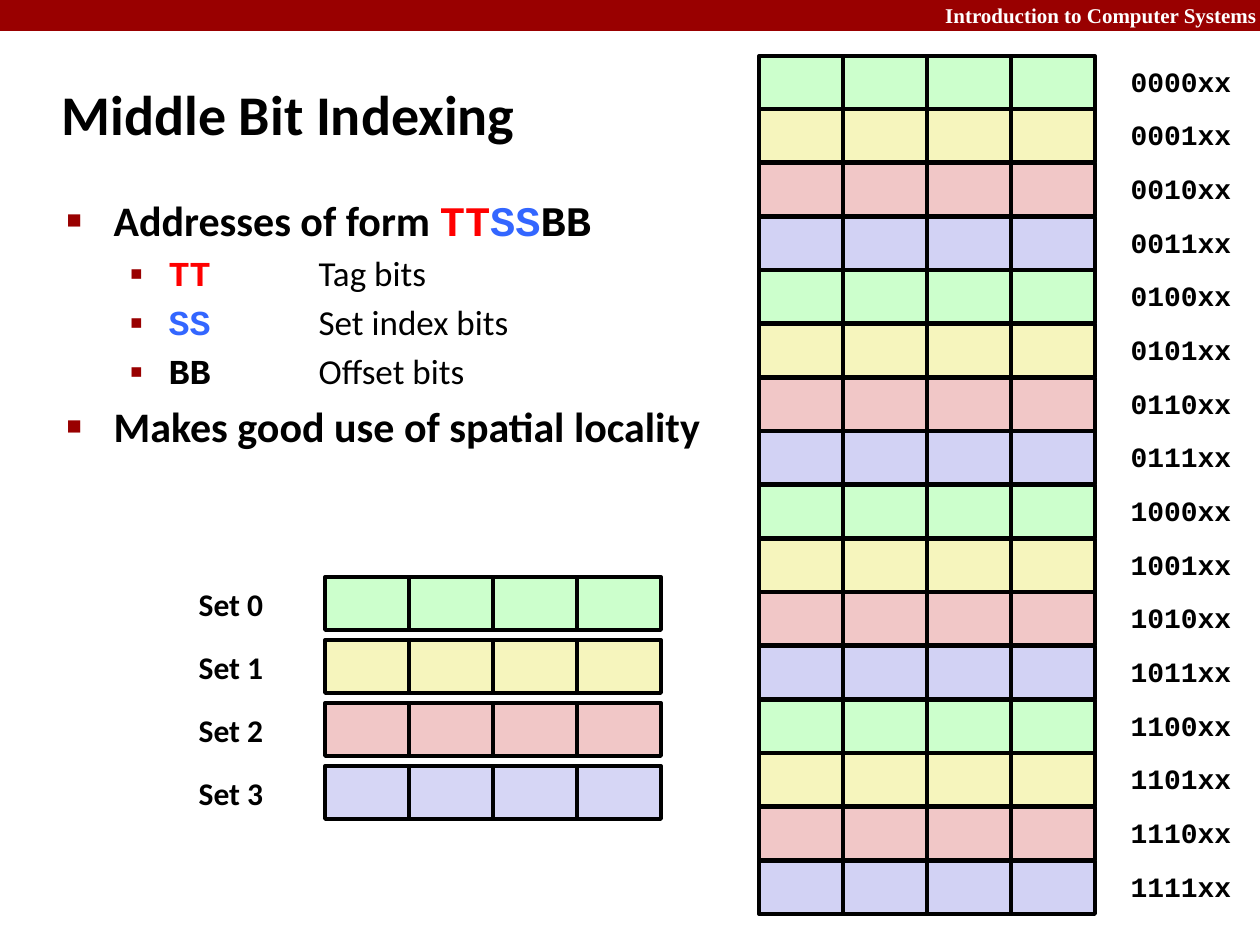
"""Build the slide on middle bit indexing of cache sets."""
from dataclasses import dataclass

from lxml import etree
from pptx import Presentation
from pptx.dml.color import RGBColor
from pptx.enum.shapes import MSO_SHAPE
from pptx.enum.text import MSO_ANCHOR, MSO_AUTO_SIZE, PP_ALIGN
from pptx.oxml.ns import qn
from pptx.util import Emu, Pt

RECTANGLE = MSO_SHAPE.RECTANGLE
MIDDLE, TOP = MSO_ANCHOR.MIDDLE, MSO_ANCHOR.TOP
NO_AUTOFIT = MSO_AUTO_SIZE.NONE
LEFT, CENTER, RIGHT = PP_ALIGN.LEFT, PP_ALIGN.CENTER, PP_ALIGN.RIGHT
EMU_PER_PX = 914400 / 126


@dataclass(frozen=True)
class Theme:
    sans: str = "Calibri"
    mono: str = "Courier New"
    serif: str = "Times New Roman"
    black: str = "000000"
    white: str = "FFFFFF"
    accent: str = "990000"
    tag: str = "FF0000"
    index: str = "3366FF"
    set_fills: tuple[str, ...] = ("CCFFCC", "F6F5BD", "F1C7C7", "D6D6F5")
    memory_fills: tuple[str, ...] = ("CCFFCC", "F6F5BD", "F1C7C7", "D2D2F4")
    title_size: int = 32
    point_size: int = 24
    detail_size: int = 20
    set_size: int = 18
    address_size: int = 16
    header_size: int = 12
    outline: float = 2.25


THEME = Theme()


@dataclass(frozen=True)
class Box:
    left: int
    top: int
    width: int
    height: int


@dataclass(frozen=True)
class Span:
    text: str
    font: str = THEME.sans
    color: str = THEME.black
    bold: bool = True


@dataclass(frozen=True)
class Point:
    spans: tuple[Span, ...]
    level: int = 0


@dataclass(frozen=True)
class BulletStyle:
    symbol: str
    percent: int
    margin: int
    hanging: int
    size: int


@dataclass(frozen=True)
class BlockRow:
    label: str
    label_box: Box
    left: int
    top: int
    fill: str
    font: str
    size: int


BLOCK_WIDTH, BLOCK_HEIGHT, BLOCKS_PER_ROW = 84, 53, 4
DETAIL_TAB = 252
BULLETS = (
    BulletStyle("■", 60, 47, 47, THEME.point_size),
    BulletStyle("▪", 110, 102, 39, THEME.detail_size),
)
TAG = Span("TT", THEME.mono, THEME.tag)
INDEX = Span("SS", THEME.mono, THEME.index)
OFFSET = Span("BB", THEME.mono)
POINTS = (
    Point((Span("Addresses of form "), TAG, INDEX, OFFSET)),
    Point((TAG, Span("\tTag bits", bold=False)), 1),
    Point((INDEX, Span("\tSet index bits", bold=False)), 1),
    Point((OFFSET, Span("\tOffset bits", bold=False)), 1),
    Point((Span("Makes good use of spatial locality"),)),
)


def px(length: int) -> Emu:
    """Convert whole pixels to EMU."""
    return Emu(round(length * EMU_PER_PX))


def place(shape, box: Box) -> None:
    """Move and size a shape."""
    shape.left, shape.top = px(box.left), px(box.top)
    shape.width, shape.height = px(box.width), px(box.height)


def write(paragraph, text: str, *, size: int, font: str = THEME.sans,
          color: str = THEME.black, bold: bool = True) -> None:
    """Append a formatted run to a paragraph."""
    run = paragraph.add_run()
    run.text = text
    run.font.size, run.font.name, run.font.bold = Pt(size), font, bold
    run.font.color.rgb = RGBColor.from_string(color)


def prepare_frame(shape, anchor) -> None:
    """Wrap the text of a shape and fix its anchor."""
    frame = shape.text_frame
    frame.word_wrap = True
    frame.auto_size = NO_AUTOFIT
    frame.vertical_anchor = anchor


def draw_rectangle(shapes, box: Box, fill: str, outline: float = 0) -> None:
    """Draw a filled rectangle, outlined when a line width is given."""
    rectangle = shapes.add_shape(
        RECTANGLE, px(box.left), px(box.top), px(box.width), px(box.height))
    rectangle.shadow.inherit = False
    rectangle.fill.solid()
    rectangle.fill.fore_color.rgb = RGBColor.from_string(fill)
    if outline:
        rectangle.line.color.rgb = RGBColor.from_string(THEME.black)
        rectangle.line.width = Pt(outline)
    else:
        rectangle.line.fill.background()


def draw_label(shapes, text: str, box: Box, align=CENTER, **text_format) -> None:
    """Draw a one-line text box."""
    label = shapes.add_textbox(0, 0, 0, 0)
    place(label, box)
    prepare_frame(label, MIDDLE)
    paragraph = label.text_frame.paragraphs[0]
    paragraph.alignment = align
    write(paragraph, text, **text_format)


def draw_row(shapes, row: BlockRow) -> None:
    """Draw a labelled row of grouped blocks."""
    blocks = shapes.add_group_shape().shapes
    for column in range(BLOCKS_PER_ROW):
        left = row.left + column * BLOCK_WIDTH
        draw_rectangle(blocks, Box(left, row.top, BLOCK_WIDTH, BLOCK_HEIGHT),
                       row.fill, THEME.outline)
    draw_label(shapes, row.label, row.label_box, font=row.font, size=row.size)


def format_bullet(paragraph, style: BulletStyle) -> None:
    """Give a paragraph its indent, bullet and tab stop."""
    properties = paragraph._p.get_or_add_pPr()
    properties.set("marL", str(px(style.margin)))
    properties.set("indent", str(-px(style.hanging)))
    color = etree.SubElement(properties, qn("a:buClr"))
    etree.SubElement(color, qn("a:srgbClr"), val=THEME.accent)
    etree.SubElement(properties, qn("a:buSzPct"), val=str(style.percent * 1000))
    etree.SubElement(properties, qn("a:buChar"), char=style.symbol)
    if style is BULLETS[1]:
        tabs = etree.SubElement(properties, qn("a:tabLst"))
        etree.SubElement(tabs, qn("a:tab"), pos=str(px(DETAIL_TAB)), algn="l")


def fill_body(body) -> None:
    """Write the bulleted points into the body placeholder."""
    prepare_frame(body, TOP)
    frame = body.text_frame
    for number, point in enumerate(POINTS):
        paragraph = frame.add_paragraph() if number else frame.paragraphs[0]
        style = BULLETS[point.level]
        paragraph.level = point.level
        format_bullet(paragraph, style)
        paragraph.alignment = LEFT
        paragraph.space_before = Pt(style.size * 0.2 if number else 0)
        for span in point.spans:
            write(paragraph, span.text, size=style.size, font=span.font,
                  color=span.color, bold=span.bold)


def main() -> None:
    """Build and save the slide."""
    deck = Presentation()
    deck.slide_width, deck.slide_height = px(1260), px(945)
    slide = deck.slides.add_slide(deck.slide_layouts[1])
    shapes = slide.shapes
    draw_rectangle(shapes, Box(0, 0, 1260, 31), THEME.accent)
    draw_label(shapes, "Introduction to Computer Systems", Box(756, -4, 513, 38), RIGHT,
               size=THEME.header_size, font=THEME.serif, color=THEME.white)

    title, body = shapes.title, slide.placeholders[1]
    place(title, Box(49, 61, 685, 105))
    prepare_frame(title, MIDDLE)
    title.text_frame.paragraphs[0].alignment = LEFT
    write(title.text_frame.paragraphs[0], "Middle Bit Indexing", size=THEME.title_size)
    place(body, Box(54, 188, 806, 149))
    fill_body(body)

    for number, fill in enumerate(THEME.set_fills):
        top = 577 + number * 63
        draw_row(shapes, BlockRow(f"Set {number}", Box(168, top, 126, BLOCK_HEIGHT),
                                  325, top, fill, THEME.sans, THEME.set_size))
    for address in range(16):
        top = 56 + address * 161 // 3
        fill = THEME.memory_fills[address % len(THEME.memory_fills)]
        draw_row(shapes, BlockRow(f"{address:04b}xx", Box(1113, top - 1, 136, BLOCK_HEIGHT),
                                  759, top, fill, THEME.mono, THEME.address_size))
    deck.save("out.pptx")


if __name__ == "__main__":
    main()
